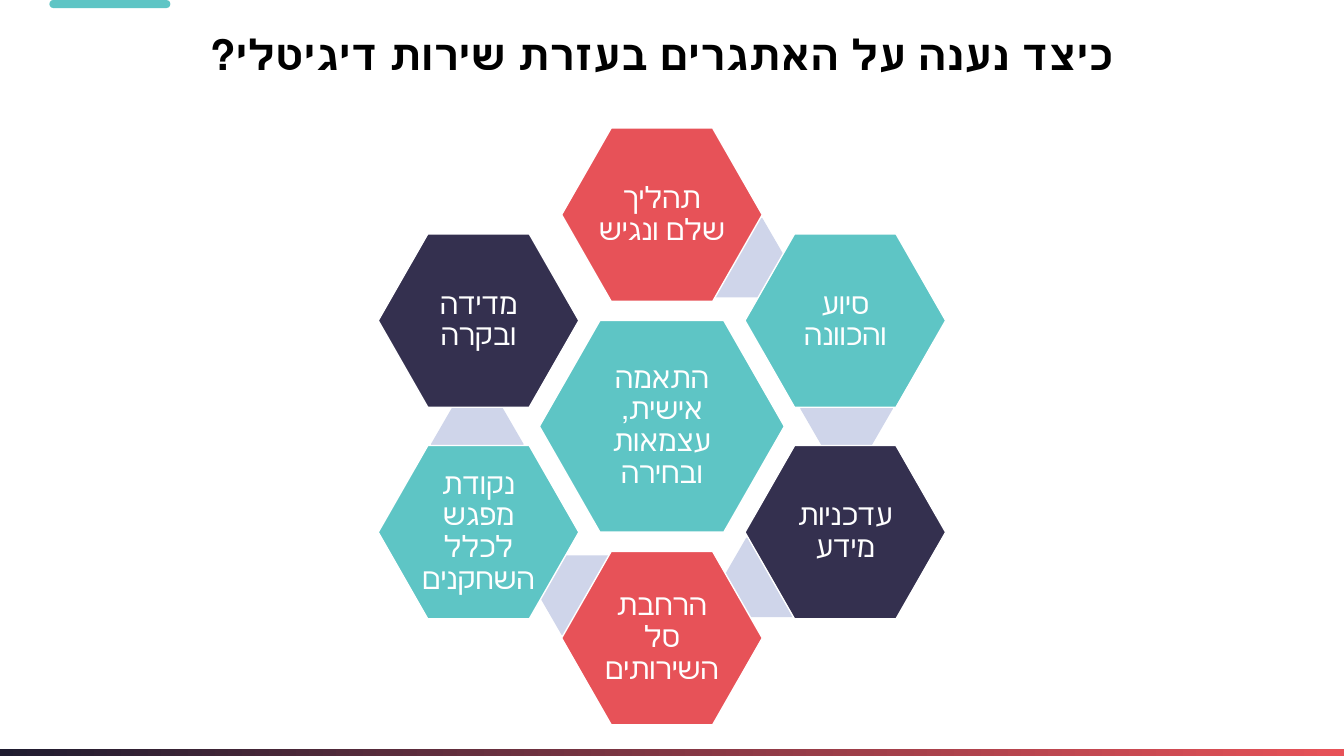
import math

import pptx
import pptx.dml.color
import pptx.enum.shapes
import pptx.enum.text
import pptx.util

Inches = pptx.util.Inches
Pt = pptx.util.Pt
SHAPES = pptx.enum.shapes.MSO_SHAPE

TEAL, CORAL, NAVY = "5EC5C5", "E75258", "34304F"
WHITE, LINK = "FFFFFF", "CFD5EA"
CORE = "התאמה אישית, עצמאות ובחירה"
PRINCIPLES = [
    ("תהליך שלם ונגיש", CORAL),
    ("סיוע והכוונה", TEAL),
    ("עדכניות מידע", NAVY),
    ("הרחבת סל השירותים", CORAL),
    ("נקודת מפגש לכלל השחקנים", TEAL),
    ("מדידה ובקרה", NAVY),
]


def rgb(value):
    return pptx.dml.color.RGBColor.from_string(value)


def write(shape, text, font="Calibri", size=21, color=WHITE, bold=False,
          inset=0.03, after=7, rtl=False):
    frame = shape.text_frame
    frame.word_wrap = True
    frame.auto_size = pptx.enum.text.MSO_AUTO_SIZE.NONE
    frame.vertical_anchor = pptx.enum.text.MSO_ANCHOR.MIDDLE
    frame.margin_left = frame.margin_right = Inches(inset)
    frame.margin_top = frame.margin_bottom = Inches(inset)
    paragraph = frame.paragraphs[0]
    paragraph.alignment = pptx.enum.text.PP_ALIGN.CENTER
    paragraph.line_spacing = 0.9
    paragraph.space_before = Pt(0)
    paragraph.space_after = Pt(after)
    if rtl:
        paragraph._p.get_or_add_pPr().set("rtl", "1")
    run = paragraph.add_run()
    run.text = text
    run.font.name = font
    run.font.size = Pt(size)
    run.font.bold = bold
    run.font.color.rgb = rgb(color)


def add_block(slide, preset, left, top, width, height, fill=None, line=None):
    block = slide.shapes.add_shape(
        preset, Inches(left), Inches(top), Inches(width), Inches(height))
    block.shadow.inherit = False
    if fill:
        block.fill.solid()
        block.fill.fore_color.rgb = rgb(fill)
    if line:
        block.line.color.rgb = rgb(line)
        block.line.width = Pt(1)
    else:
        block.line.fill.background()
    return block


def add_hexagon(slide, center, width, height, fill, line=None, slant=0.286):
    x, y = center
    hexagon = add_block(slide, SHAPES.HEXAGON, x - width / 2, y - height / 2,
                        width, height, fill, line)
    hexagon.adjustments[0] = slant
    hexagon.adjustments[1] = 1.155
    return hexagon


def add_frame(slide, width, height):
    footer = add_block(slide, SHAPES.RECTANGLE, 0, height - 0.07, width, 0.07)
    footer.fill.gradient()
    footer.fill.gradient_angle = 0
    for stop, color in zip(footer.fill.gradient_stops, ("1F1C30", CORAL)):
        stop.color.rgb = rgb(color)
    tab = add_block(slide, SHAPES.ROUNDED_RECTANGLE, 0.49, 0, 1.2, 0.08, TEAL)
    tab.adjustments[0] = 0.5


def add_title(slide, left, top, width, height):
    title = slide.shapes.title
    title.left, title.top = Inches(left), Inches(top)
    title.width, title.height = Inches(width), Inches(height)
    write(title, "כיצד נענה על האתגרים בעזרת שירות דיגיטלי?", font="Roboto",
          size=30, color="000000", bold=True, inset=0.05, after=0, rtl=True)


def add_ring(slide, left, top, width, height):
    def around(radius, degrees):
        angle = math.radians(degrees)
        return (left + width / 2 + radius * math.sin(angle),
                top + height / 2 - radius * math.cos(angle))

    core = add_hexagon(slide, around(0, 0), 2.43, 2.1, TEAL, WHITE)
    write(core, CORE)
    step = 360 / len(PRINCIPLES)
    for index in range(len(PRINCIPLES) - 1):
        add_hexagon(slide, around(1.84, 24.5 + index * step), 0.92, 0.79,
                    LINK, slant=0.289)
    for index, (principle, color) in enumerate(PRINCIPLES):
        hexagon = add_hexagon(slide, around(2.1, index * step), 1.99, 1.72,
                              color, WHITE)
        write(hexagon, principle)


def main():
    deck = pptx.Presentation()
    deck.slide_width, deck.slide_height = Inches(13.33), Inches(7.5)
    slide = deck.slides.add_slide(deck.slide_layouts[5])
    add_frame(slide, 13.33, 7.5)
    add_title(slide, -0.1, 0.07, 13.33, 0.99)
    add_ring(slide, 3.74, 1.27, 5.65, 5.92)
    deck.save("out.pptx")


if __name__ == "__main__":
    main()
